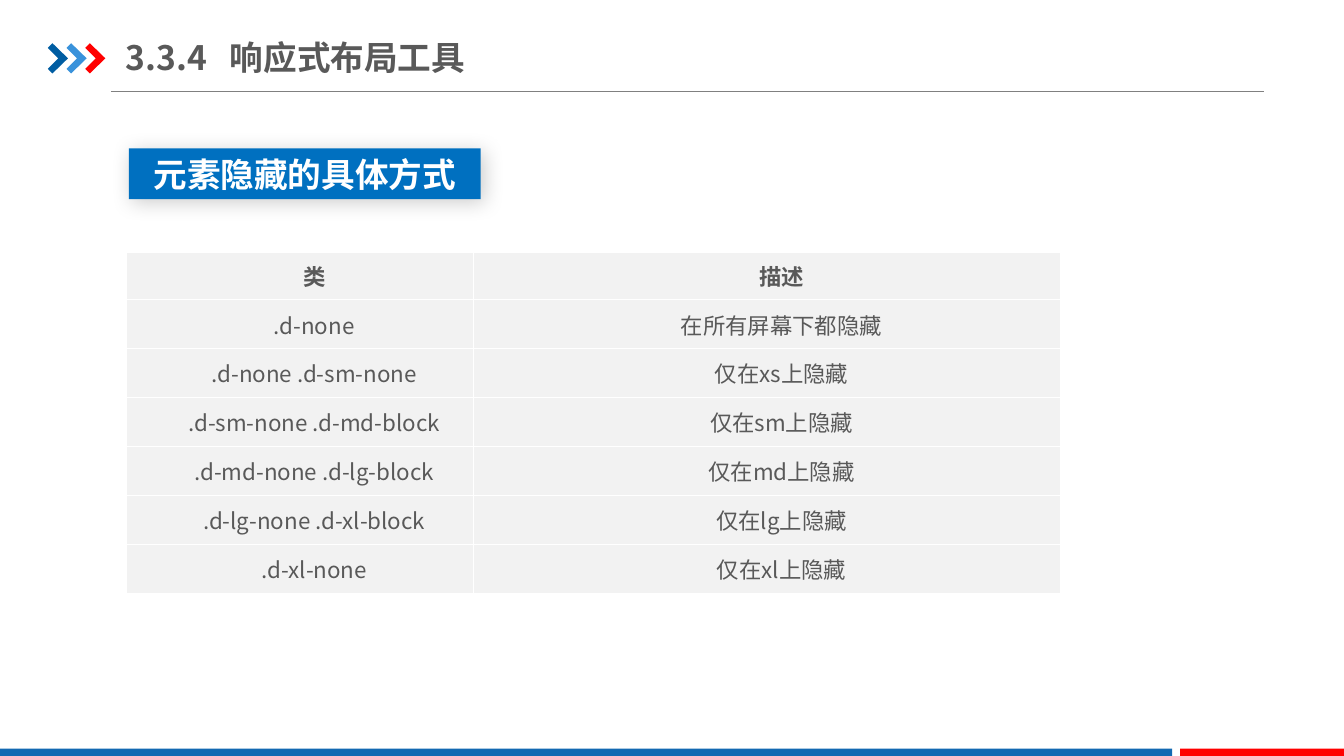
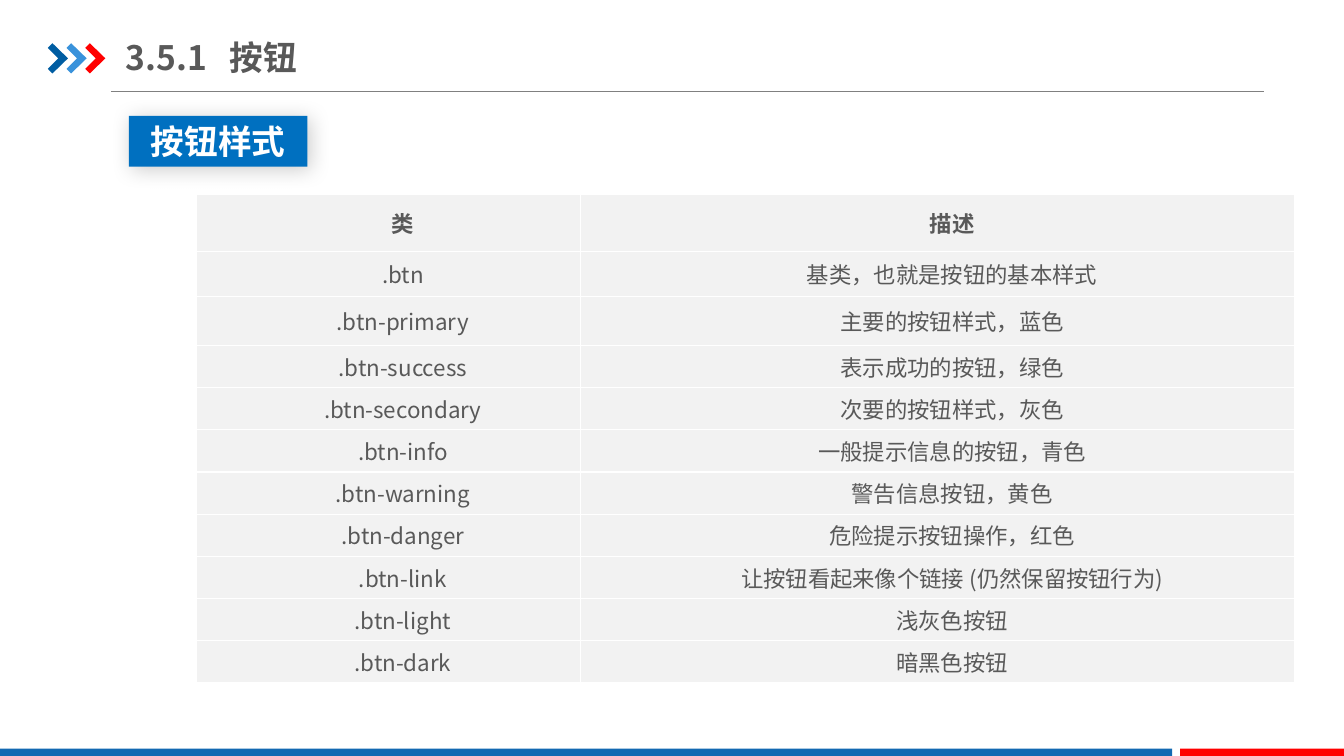
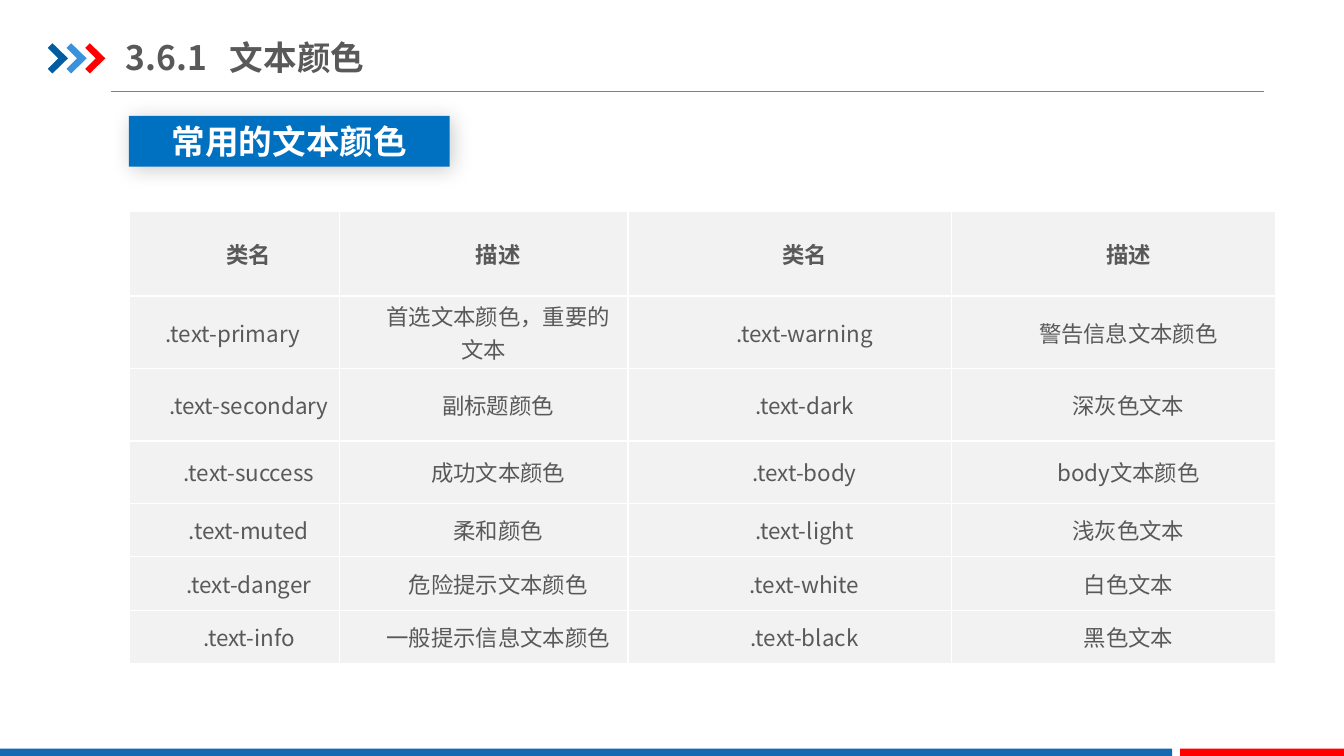
from lxml.etree import SubElement
from pptx import Presentation
from pptx.dml.color import RGBColor
from pptx.enum.shapes import MSO_CONNECTOR as Connector, MSO_SHAPE as Shape
from pptx.enum.text import MSO_ANCHOR as Anchor, MSO_AUTO_SIZE as AutoSize, PP_ALIGN as Align
from pptx.oxml import parse_xml
from pptx.oxml.ns import nsdecls, qn
from pptx.util import Inches, Pt

COLUMNS, ROWS = 64, 36
FONT = "Noto Sans CJK SC"
GREY, WHITE, RED = "595959", "FFFFFF", "FF0000"
TAG_BLUE, BAND_BLUE, CELL_GREY, RULE_GREY = "0070C0", "1369B2", "F2F2F2", "808080"
CHEVRONS = ["005DA2", "3992DB", RED]
CHEVRON_OUTLINE = [(0, 0.22), (0.22, 0), (0.96, 0.72), (0.22, 1.44), (0, 1.22), (0.5, 0.72)]


def grid(*cells):
    """Turn counts of square grid cells into lengths."""
    return [int(Inches(7.5) * cell / ROWS) for cell in cells]


def paint(target, color):
    """Give a fill or a font its solid colour."""
    if hasattr(target, "solid"):
        target.solid()
        target.fore_color.rgb = RGBColor.from_string(color)
    else:
        target.color.rgb = RGBColor.from_string(color)


class Deck:
    """Shared style and the slide being built."""

    def __init__(self):
        self.prs = Presentation()
        self.prs.slide_width, self.prs.slide_height = grid(COLUMNS, ROWS)
        self.layout = self.prs.slide_layouts.get_by_name("Title Only")
        self.slide = None

    def add_slide(self, number, topic, title_width):
        self.slide = self.prs.slides.add_slide(self.layout)
        if len(self.prs.slides) == 1:
            self.share_frame()
        self.title(number, topic, title_width)

    # Chevrons, rule and bands, kept on the layout
    def share_frame(self):
        frame = [self.chevron(2.28 + 0.89 * i, 2.06, color) for i, color in enumerate(CHEVRONS)]
        frame += [
            self.rule(5.28, 60.2, 4.37),
            self.box(0, 35.65, 55.82, 0.35, BAND_BLUE),
            self.box(56.2, 35.65, 7.8, 0.35, RED),
        ]
        for shape_id, part in enumerate(frame, start=101):
            part.element.xpath(".//p:cNvPr")[0].set("id", str(shape_id))
            self.layout.shapes.element.append(part.element)

    def chevron(self, left, top, color):
        points = [tuple(grid(left + x, top + y)) for x, y in CHEVRON_OUTLINE]
        builder = self.slide.shapes.build_freeform(*points[0])
        builder.add_line_segments(points[1:], close=True)
        return self.plain(builder.convert_to_shape(), color)

    def rule(self, left, right, y):
        x1, x2, y = grid(left, right, y)
        rule = self.slide.shapes.add_connector(Connector.STRAIGHT, x1, y, x2, y)
        paint(rule.line.fill, RULE_GREY)
        rule.line.width = Pt(0.75)
        SubElement(rule.element.spPr, qn("a:effectLst"))
        return rule

    def box(self, left, top, width, height, color):
        place = grid(left, top, width, height)
        return self.plain(self.slide.shapes.add_shape(Shape.RECTANGLE, *place), color)

    def plain(self, shape, color):
        paint(shape.fill, color)
        shape.line.fill.background()
        shape.shadow.inherit = False
        return shape

    def format_text(self, paragraph, size, color, bold, align):
        paragraph.alignment = align
        for run in paragraph.runs:
            run.font.size, run.font.bold, run.font.name = Pt(size), bold, FONT
            paint(run.font, color)
            SubElement(run.font._rPr, qn("a:ea"), typeface=FONT)

    def title(self, number, topic, width):
        title = self.slide.shapes.title
        title.left, title.top, title.width, title.height = grid(6, 1.39, width, 2.64)
        frame = title.text_frame
        frame.text = f"{number}\t{topic}"
        frame.auto_size, frame.vertical_anchor = AutoSize.NONE, Anchor.MIDDLE
        frame.margin_left = frame.margin_right = 0
        heading = frame.paragraphs[0]
        self.format_text(heading, 24, GREY, True, Align.LEFT)
        # The tab stop sets the topic apart from its number
        stops = SubElement(heading._p.get_or_add_pPr(), qn("a:tabLst"))
        SubElement(stops, qn("a:tab"), pos=str(grid(4.95)[0]), algn="l")

    def tag(self, text, top, width):
        tag = self.box(6.14, top, width, 2.42, TAG_BLUE)
        tag.text_frame.text = text
        tag.text_frame.vertical_anchor = Anchor.MIDDLE
        self.format_text(tag.text_frame.paragraphs[0], 24, WHITE, True, Align.CENTER)
        # Soft shadow
        tag.element.spPr.find(qn("a:effectLst")).append(parse_xml(
            f'<a:outerShdw {nsdecls("a")} blurRad="{Pt(15)}" dist="{Pt(3)}" dir="2700000" algn="tl"'
            ' rotWithShape="0"><a:srgbClr val="000000"><a:alpha val="20000"/></a:srgbClr></a:outerShdw>'))

    def table(self, left, top, widths, heights, entries, left_aligned=()):
        place = grid(left, top, sum(widths), sum(heights))
        holder = self.slide.shapes.add_table(len(heights), len(widths), *place)
        table = holder.table
        table.horz_banding = False
        for column, width in zip(table.columns, grid(*widths)):
            column.width = width
        for row, height in zip(table.rows, grid(*heights)):
            row.height = height
        for r, row in enumerate(entries):
            for c, text in enumerate(row):
                align = Align.LEFT if text in left_aligned else Align.CENTER
                self.cell(table.cell(r, c), text, r == 0, align)
        for properties in holder.element.iter(qn("a:tcPr")):
            self.borders(properties)

    def cell(self, cell, text, bold, align):
        cell.text = text
        cell.vertical_anchor = Anchor.MIDDLE
        cell.margin_left = cell.margin_right = grid(0.34)[0]
        cell.margin_top = cell.margin_bottom = 0
        paint(cell.fill, CELL_GREY)
        paragraph = cell.text_frame.paragraphs[0]
        self.format_text(paragraph, 16, GREY, bold, align)
        paragraph._p.get_or_add_pPr().set("indent", str(grid(1.39)[0]))

    def borders(self, properties):
        for i, side in enumerate(["lnL", "lnR", "lnT", "lnB"]):
            properties.insert(i, parse_xml(
                f'<a:{side} {nsdecls("a")} w="{Pt(1)}"><a:solidFill>'
                f'<a:srgbClr val="{WHITE}"/></a:solidFill></a:{side}>'))


def main():
    deck = Deck()

    # Hiding elements
    deck.add_slide("3.3.4", "响应式布局工具", 29)
    deck.table(6, 12, [16.54, 27.96], [2.28] + [2.33] * 6, [
        ("类", "描述"),
        (".d-none", "在所有屏幕下都隐藏"),
        (".d-none .d-sm-none", "仅在xs上隐藏"),
        (".d-sm-none .d-md-block", "仅在sm上隐藏"),
        (".d-md-none .d-lg-block", "仅在md上隐藏"),
        (".d-lg-none .d-xl-block", "仅在lg上隐藏"),
        (".d-xl-none", "仅在xl上隐藏"),
    ])
    deck.tag("元素隐藏的具体方式", 7.06, 16.75)

    # Button styles
    deck.add_slide("3.5.1", "按钮", 20.45)
    deck.table(9.33, 9.28, [18.32, 34], [2.7, 2.14, 2.33] + [2.01] * 8, [
        ("类", "描述"),
        (".btn", "基类，也就是按钮的基本样式"),
        (".btn-primary", "主要的按钮样式，蓝色"),
        (".btn-success", "表示成功的按钮，绿色"),
        (".btn-secondary", "次要的按钮样式，灰色"),
        (".btn-info", "一般提示信息的按钮，青色"),
        (".btn-warning", "警告信息按钮，黄色"),
        (".btn-danger", "危险提示按钮操作，红色"),
        (".btn-link", "让按钮看起来像个链接 (仍然保留按钮行为)"),
        (".btn-light", "浅灰色按钮"),
        (".btn-dark", "暗黑色按钮"),
    ])
    deck.tag("按钮样式", 5.52, 8.5)

    # Text colours
    deck.add_slide("3.6.1", "文本颜色", 20.45)
    deck.table(6.17, 10.08, [9.98, 13.76, 15.42, 15.42], [4.02, 3.45, 3.45, 2.97] + [2.55] * 3, [
        ("类名", "描述", "类名", "描述"),
        (".text-primary", "首选文本颜色，重要的文本", ".text-warning", "警告信息文本颜色"),
        (".text-secondary", "副标题颜色", ".text-dark", "深灰色文本"),
        (".text-success", "成功文本颜色", ".text-body", "body文本颜色"),
        (".text-muted", "柔和颜色", ".text-light", "浅灰色文本"),
        (".text-danger", "危险提示文本颜色", ".text-white", "白色文本"),
        (".text-info", "一般提示信息文本颜色", ".text-black", "黑色文本"),
    ], left_aligned=[".text-primary"])
    deck.tag("常用的文本颜色", 5.52, 15.28)

    deck.prs.save("out.pptx")


if __name__ == "__main__":
    main()
